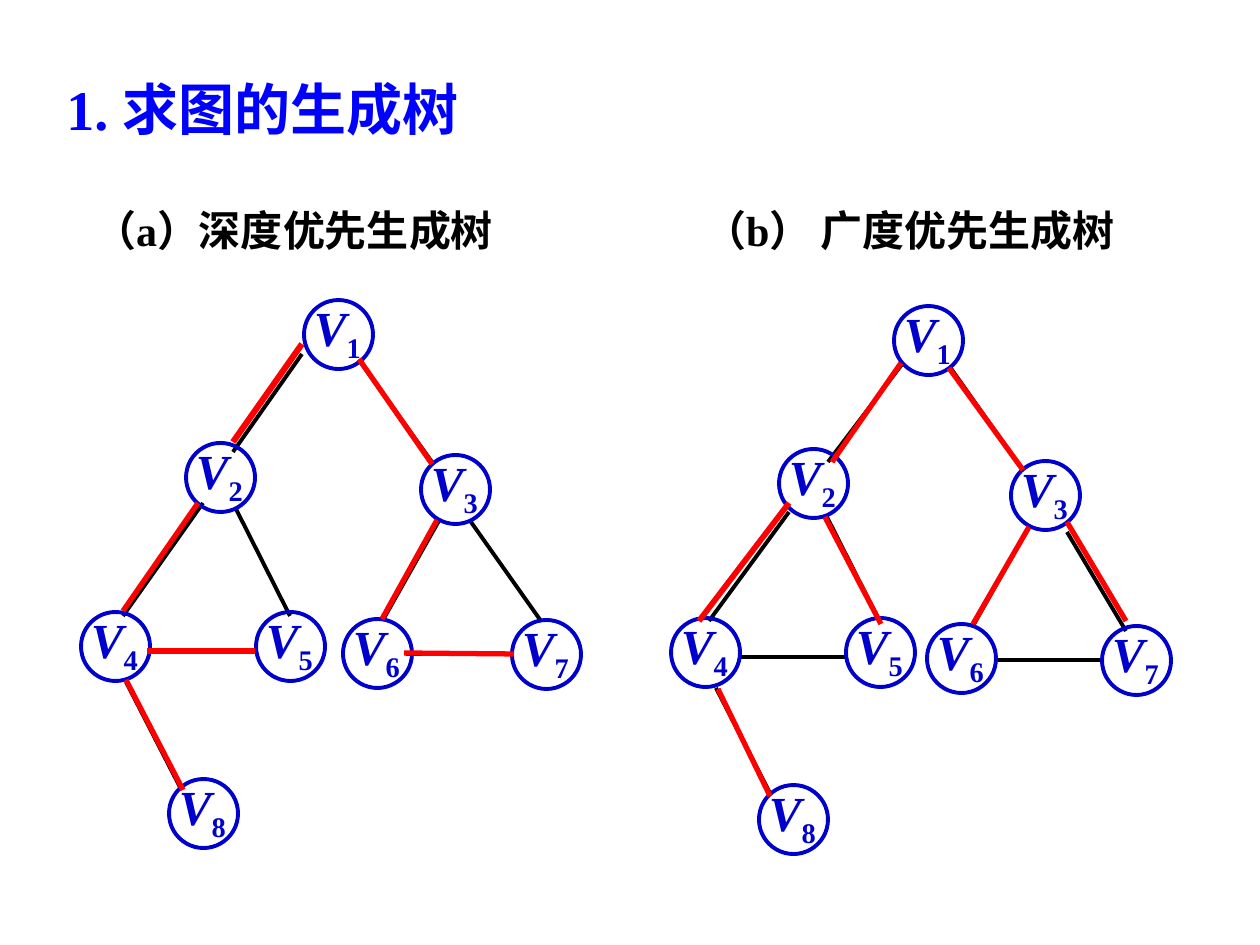
import pptx
import pptx.util
import pptx.dml.color
import pptx.enum.shapes
import pptx.enum.text
import pptx.oxml.ns
from lxml import etree

PX = 914400 / 126
FONT = "Times New Roman"
BLUE, BLACK, RED = "0000CC", "000000", "FF0000"
NODE = 69
ALIGN = pptx.enum.text.PP_ALIGN
ANCHOR = pptx.enum.text.MSO_ANCHOR

# Node corners and edges, relative to the tree's box
NODES = {1: (223, 0), 2: (105, 143), 3: (340, 155), 4: (0, 312),
         5: (175, 312), 6: (262, 319), 7: (431, 320), 8: (88, 479)}
SHARED_EDGES = [(176, 351, 70, 351), (155, 209, 209, 316), (359, 219, 302, 320),
                (429, 354, 325, 354), (45, 382, 100, 489)]

DEPTH_FIRST = dict(
    nodes=NODES,
    edges=SHARED_EDGES + [(278, 60, 351, 162), (122, 203, 42, 316),
                          (221, 54, 152, 152), (460, 321, 390, 222)],
    tree=[(221, 44, 152, 142, 3.5), (117, 203, 42, 311, 3), (174, 351, 66, 351, 3),
          (102, 490, 45, 380, 3), (351, 164, 278, 59, 3), (301, 319, 356, 220, 3),
          (323, 353, 433, 354, 3)])
BREADTH_FIRST = dict(
    nodes={**NODES, 2: (108, 143), 6: (256, 318)},
    edges=SHARED_EDGES + [(279, 61, 346, 156), (232, 57, 157, 156),
                          (118, 206, 38, 315), (396, 226, 455, 325)],
    tree=[(230, 57, 161, 156, 3), (278, 62, 352, 164, 3), (118, 197, 28, 315, 3.25),
          (154, 211, 210, 318, 3), (358, 221, 302, 318, 3), (396, 216, 455, 315, 3),
          (47, 383, 99, 490, 3)])


def emu(n):
    return pptx.util.Emu(round(n * PX))


def color(hex_string):
    return pptx.dml.color.RGBColor.from_string(hex_string)


def add_run(p, text, size=24, font=FONT, fill=BLACK, italic=False, baseline=None):
    r = p.add_run()
    r.text = text
    r.font.size = pptx.util.Pt(size)
    r.font.name = font
    r.font.bold = True
    r.font.italic = italic
    r.font.color.rgb = color(fill)
    if baseline:
        r.font._element.set("baseline", str(baseline))


def add_text(shapes, x, y, w, h, insets=None, align=None, anchor=ANCHOR.TOP):
    """Add an empty wrapped text box and return its first paragraph."""
    tf = shapes.add_textbox(emu(x), emu(y), emu(w), emu(h)).text_frame
    tf.word_wrap = True
    tf.vertical_anchor = anchor
    if insets:
        tf.margin_left, tf.margin_top, tf.margin_right, tf.margin_bottom = map(emu, insets)
    p = tf.paragraphs[0]
    p.alignment = align
    return p


def add_line(s, x1, y1, x2, y2, stroke, width):
    line = s.shapes.add_connector(pptx.enum.shapes.MSO_CONNECTOR.STRAIGHT,
                                  emu(x1), emu(y1), emu(x2), emu(y2))
    line.line.color.rgb = color(stroke)
    line.line.width = pptx.util.Pt(width)
    etree.SubElement(line._element.spPr, pptx.oxml.ns.qn("a:effectLst"))


def add_node(s, x, y, number):
    group = s.shapes.add_group_shape().shapes
    sp = group.add_shape(pptx.enum.shapes.MSO_SHAPE.OVAL,
                         emu(x), emu(y), emu(NODE), emu(NODE))
    sp.shadow.inherit = False
    sp.fill.background()
    sp.line.color.rgb = color(BLUE)
    sp.line.width = pptx.util.Pt(2.25)
    p = add_text(group, x + 9, y - 7, 64, 82, (1, 4, 0, 1), ALIGN.JUSTIFY)
    add_run(p, "V", size=28, fill=BLUE, italic=True)
    add_run(p, str(number), size=28, fill=BLUE, baseline=-25000)


def add_title(s, x, y, w, h):
    p = add_text(s.shapes, x, y, w, h, anchor=ANCHOR.MIDDLE)
    add_run(p, "1. ", size=32, fill="0000FF")
    add_run(p, "求图的生成树", size=32, font="Arial", fill="0000FF")


def add_captions(s, x, y, w, h):
    p = add_text(s.shapes, x, y, w, h, (0, 1, 0, 1), ALIGN.JUSTIFY)
    tabs = etree.SubElement(p._p.get_or_add_pPr(), pptx.oxml.ns.qn("a:tabLst"))
    etree.SubElement(tabs, pptx.oxml.ns.qn("a:tab"), pos=str(emu(610)), algn="l")
    add_run(p, "（a）深度优先生成树\t（b） 广度优先生成树")


def add_graph(s, x, y, nodes, edges, tree):
    # Graph edges
    for x1, y1, x2, y2 in edges:
        add_line(s, x + x1, y + y1, x + x2, y + y2, BLACK, 2.25)
    # Vertices
    for number, (dx, dy) in nodes.items():
        add_node(s, x + dx, y + dy, number)
    # Spanning tree
    for x1, y1, x2, y2, width in tree:
        add_line(s, x + x1, y + y1, x + x2, y + y2, RED, width)


def main():
    prs = pptx.Presentation()
    prs.slide_width, prs.slide_height = emu(1260), emu(945)
    s = prs.slides.add_slide(prs.slide_layouts[6])
    add_title(s, 54, 66, 498, 84)
    add_captions(s, 94, 204, 1087, 64)
    add_graph(s, 81, 300, **DEPTH_FIRST)
    add_graph(s, 671, 306, **BREADTH_FIRST)
    prs.save("out.pptx")


if __name__ == "__main__":
    main()
